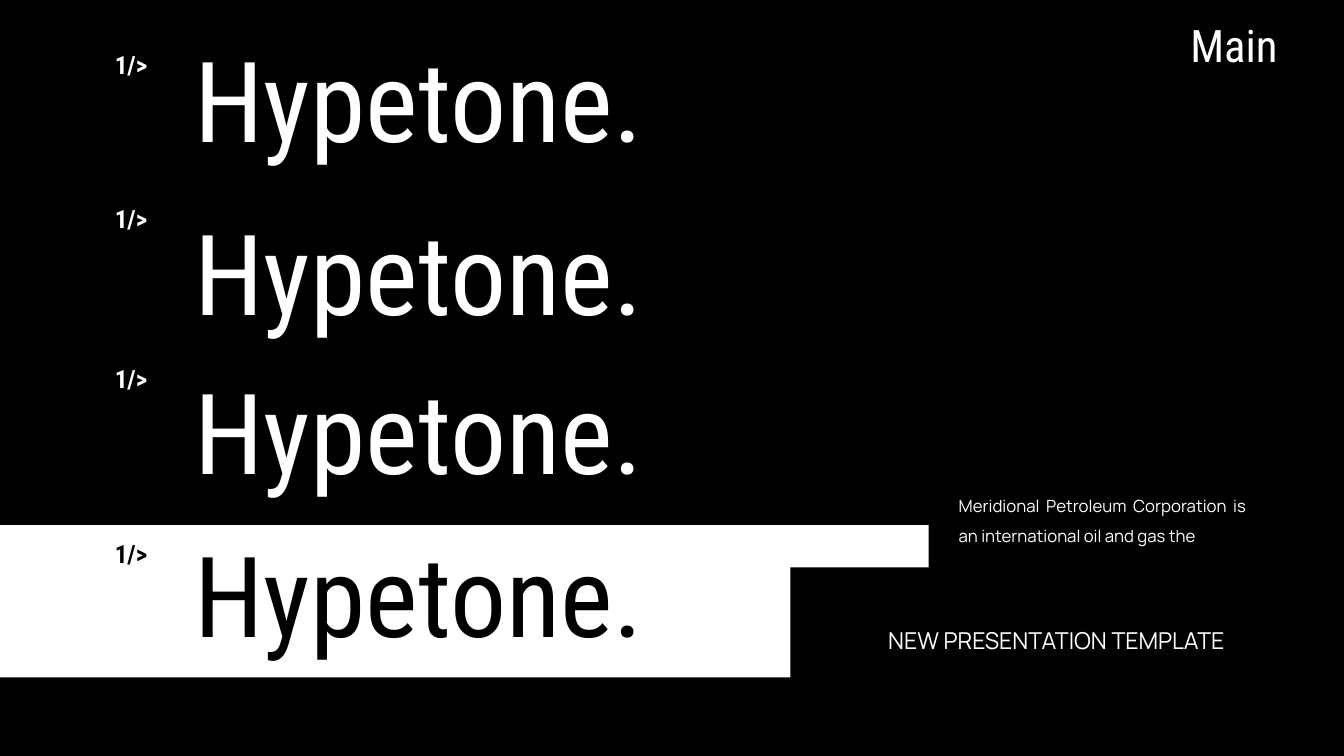
from pptx import Presentation
from pptx import util as u
from pptx.dml.color import RGBColor
from pptx.enum import shapes, text

W, H = 13.33, 7.5
BLACK, WHITE = "000000", "FFFFFF"
HEAD, BODY = "Roboto Condensed", "Manrope"

TITLE = "Main"
NAME, MARK = "Hypetone.", "1/>"
ROWS = [
    (0.3, 0.49, WHITE),
    (2.02, 2.02, WHITE),
    (3.6, 3.6, WHITE),
    (5.21, 5.34, BLACK),
]
BANDS = [
    ((0, 5.21, 9.21, 1.51), WHITE),
    ((7.84, 5.63, W - 7.84, 1.51), BLACK),
]
ABOUT = "Meridional Petroleum Corporation is an international oil and gas the"
FOOTER = "NEW PRESENTATION TEMPLATE"


def color(value):
    return RGBColor.from_string(value)


def place(sp, box):
    sp.left, sp.top, sp.width, sp.height = [u.Inches(v) for v in box]


def write(content, box, size, sp=None, font=HEAD, fill=WHITE, bold=False, wrap=False,
          inset=(0, 0), align="CENTER", spacing=1.0, before=0, grow=True):
    if sp is None:
        sp = s.shapes.add_textbox(0, 0, 0, 0)
    place(sp, box)
    tf = sp.text_frame
    tf.margin_left = tf.margin_right = u.Inches(inset[0])
    tf.margin_top = tf.margin_bottom = u.Inches(inset[1])
    tf.word_wrap = wrap
    tf.vertical_anchor = text.MSO_ANCHOR.TOP
    tf.auto_size = text.MSO_AUTO_SIZE.SHAPE_TO_FIT_TEXT if grow else text.MSO_AUTO_SIZE.NONE
    p = tf.paragraphs[0]
    p.alignment = text.PP_ALIGN[align]
    p.line_spacing = spacing
    p.space_before = u.Pt(before)
    r = p.add_run()
    r.text = content
    r.font.name, r.font.size, r.font.bold = font, u.Pt(size), bold
    r.font.color.rgb = color(fill)


prs = Presentation()
prs.slide_width, prs.slide_height = u.Inches(W), u.Inches(H)
s = prs.slides.add_slide(prs.slide_layouts[5])
s.background.fill.solid()
s.background.fill.fore_color.rgb = color(BLACK)

write(TITLE, (11.76, 0.18, 0.96, 0.54), 32, sp=s.shapes.title)

for box, fill in BANDS:
    sp = s.shapes.add_shape(shapes.MSO_SHAPE.RECTANGLE, 0, 0, 0, 0)
    place(sp, box)
    sp.shadow.inherit = False
    sp.fill.solid()
    sp.fill.fore_color.rgb = color(fill)
    sp.line.fill.background()

for name_top, mark_top, fill in ROWS:
    write(NAME, (1.64, name_top, 5.03, 1.35), 80, fill=fill)
    write(MARK, (1.12, mark_top, 0.36, 0.3), 18, fill=fill, bold=True)

write(ABOUT, (9.41, 4.77, 3.05, 0.67), 12, font=BODY, wrap=True,
      inset=(0.1, 0.05), align="JUSTIFY", spacing=1.5)
write(FOOTER, (8.42, 6.2, 4.11, 0.37), 16.6, font=BODY, wrap=True,
      inset=(0.1, 0.05), spacing=0.9, before=10, grow=False)

prs.save("out.pptx")
